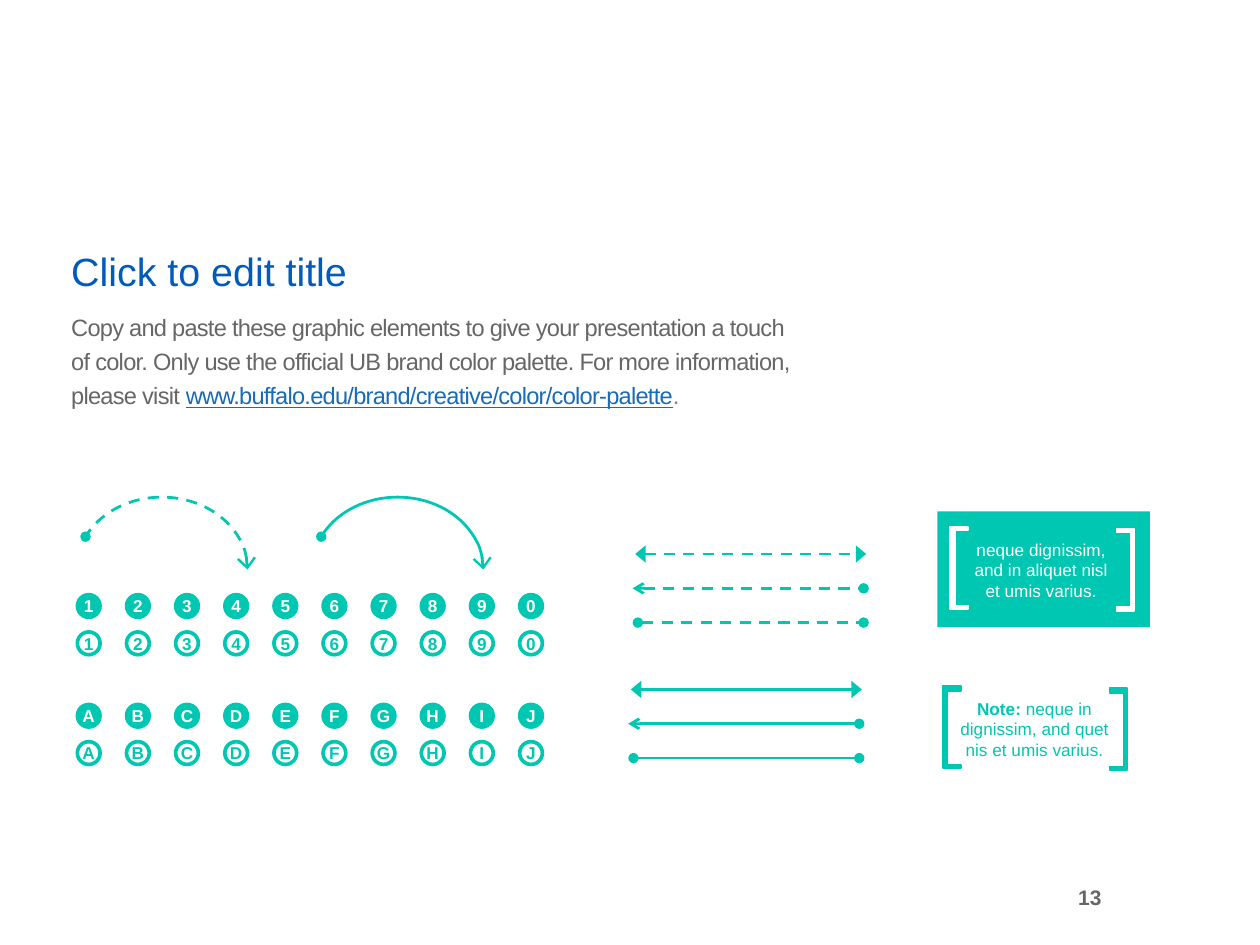
from pptx import Presentation
from pptx.dml.color import RGBColor
from pptx.enum.dml import MSO_LINE
from pptx.enum.shapes import MSO_CONNECTOR, MSO_SHAPE
from pptx.enum.text import MSO_ANCHOR, MSO_AUTO_SIZE, PP_ALIGN
from pptx.oxml.ns import qn
from pptx.util import Pt
from lxml import etree

TEAL, WHITE, BLUE, GRAY = "00C7B1", "FFFFFF", "005BBB", "666666"
LINK_BLUE, LIGHT_GRAY = "186BB7", "828383"
CENTER, RIGHT = PP_ALIGN.CENTER, PP_ALIGN.RIGHT
MIDDLE, BOTTOM = MSO_ANCHOR.MIDDLE, MSO_ANCHOR.BOTTOM
DASH, STRAIGHT = MSO_LINE.DASH, MSO_CONNECTOR.STRAIGHT
OVAL, ARC, RECT = MSO_SHAPE.OVAL, MSO_SHAPE.ARC, MSO_SHAPE.RECTANGLE
NO_AUTOFIT = MSO_AUTO_SIZE.NONE


def rgb(color):
    """Turn a hex string into a colour."""
    return RGBColor.from_string(color)


def place(sp, x, y, w, h):
    """Move and size a shape, in points."""
    sp.left, sp.top, sp.width, sp.height = Pt(x), Pt(y), Pt(w), Pt(h)


def add_run(p, text, size, color, bold=False):
    """Add one formatted run to a paragraph."""
    r = p.add_run()
    r.text = text
    r.font.name, r.font.size, r.font.bold = "Arial", Pt(size), bold
    r.font.color.rgb = rgb(color)
    return r


def style_shape(sp, fill=None, line=None, width=1):
    """Set the fill and line of a shape and drop its shadow."""
    sp.shadow.inherit = False
    if fill:
        sp.fill.solid()
        sp.fill.fore_color.rgb = rgb(fill)
    else:
        sp.fill.background()
    if line:
        sp.line.color.rgb = rgb(line)
        sp.line.width = Pt(width)
    else:
        sp.line.fill.background()


def style_ends(sp, head, tail, dashed, head_width="med"):
    """Set the dash and the end marks of a line or arc."""
    if dashed:
        sp.line.dash_style = DASH
    ln = sp.line._get_or_add_ln()
    for tag, kind in (("a:headEnd", head), ("a:tailEnd", tail)):
        end = etree.SubElement(ln, qn(tag))
        end.set("type", kind)
        end.set("w", "med" if kind == "oval" else head_width)


def add_text(s, x, y, w, h, align):
    """Add a wrapping text box and return its frame and first paragraph."""
    tf = s.shapes.add_textbox(Pt(x), Pt(y), Pt(w), Pt(h)).text_frame
    tf.word_wrap = True
    p = tf.paragraphs[0]
    p.alignment = align
    return tf, p


def fill_title(s, x, y, w, h):
    """Place the slide title."""
    sp = s.shapes.title
    place(sp, x, y, w, h)
    tf = sp.text_frame
    tf.auto_size, tf.vertical_anchor = NO_AUTOFIT, BOTTOM
    p = tf.paragraphs[0]
    p.alignment, p.line_spacing = PP_ALIGN.LEFT, 0.9
    add_run(p, "Click to edit title", 22.5, BLUE)


def fill_body(s, x, y, w, h):
    """Place the introduction below the title."""
    sp = s.placeholders[1]
    place(sp, x, y, w, h)
    tf = sp.text_frame
    tf.auto_size = NO_AUTOFIT
    p = tf.paragraphs[0]
    pPr = p._p.get_or_add_pPr()
    pPr.set("marL", "0")
    pPr.set("indent", "0")
    etree.SubElement(pPr, qn("a:buNone"))
    p.line_spacing, p.space_before = Pt(19.5), Pt(0)
    intro = ("Copy and paste these graphic elements to give your presentation a touch "
             "of color. Only use the official UB brand color palette. "
             "For more information, please visit ")
    address = "www.buffalo.edu/brand/creative/color/color-palette"
    for text, color in ((intro, GRAY), (address, LINK_BLUE), (".", LIGHT_GRAY)):
        r = add_run(p, text, 13.5, color)
        r.font.underline = text == address
        r._r.get_or_add_rPr().set("spc", "-40")


def add_arc(s, x, y, w, h, dashed):
    """Add a curved arrow that rises from a dot and lands on the right."""
    sp = s.shapes.add_shape(ARC, Pt(x), Pt(y), Pt(w), Pt(h))
    sp.adjustments[0], sp.adjustments[1] = 162, 40.02
    sp.rotation = 270
    sp._element.spPr.find(qn("a:xfrm")).set("flipV", "1")
    style_shape(sp, line=TEAL, width=1.6)
    style_ends(sp, "arrow", "oval", dashed, "lg")


def add_badges(s, x, y, labels, solid):
    """Add a row of round badges, one for each character."""
    size, pitch = 13, 28.08
    for i, label in enumerate(labels):
        sp = s.shapes.add_shape(OVAL, Pt(x + i * pitch), Pt(y), Pt(size), Pt(size))
        style_shape(sp, TEAL if solid else None, TEAL, 2 if solid else 2.09)
        tf = sp.text_frame
        tf.margin_left = tf.margin_right = tf.margin_top = tf.margin_bottom = 0
        tf.word_wrap, tf.vertical_anchor = False, MIDDLE
        p = tf.paragraphs[0]
        p.alignment = CENTER
        add_run(p, label, 9.8, WHITE if solid else TEAL, True)


def add_lines(s, x, y, dashed):
    """Add three lines with different end marks, one below the other."""
    rows = ((2, 134, "triangle", "triangle", "lg"),
            (0.5, 132.5, "arrow", "oval", "med"),
            (3.5, 132.5, "oval", "oval", "med"))
    for i, (start, end, head, tail, head_width) in enumerate(rows):
        row_y = Pt(y + i * 19.6)
        sp = s.shapes.add_connector(STRAIGHT, Pt(x + start), row_y, Pt(x + end), row_y)
        sp.line.color.rgb = rgb(TEAL)
        sp.line.width = Pt(1.6)
        style_ends(sp, head, tail, dashed, head_width)
        etree.SubElement(sp._element.spPr, qn("a:effectLst"))


def add_brackets(s, x, y, w, color):
    """Add a pair of square brackets that spans the given width."""
    arm, height, thick = 10, 47, 2.2
    outline = ((arm, 0), (0, 0), (0, height), (arm, height), (arm, height - thick),
               (thick, height - thick), (thick, thick), (arm, thick))
    for edge, side, top in ((x, 1, y), (x + w, -1, y + 1)):
        points = [(edge + side * dx, top + dy) for dx, dy in outline]
        fb = s.shapes.build_freeform(*points[0], scale=Pt(1))
        fb.add_line_segments(points[1:], close=True)
        style_shape(fb.convert_to_shape(), color, color)


def add_panel_note(s, x, y, w, h):
    """Add the filled panel with white brackets and text."""
    style_shape(s.shapes.add_shape(RECT, Pt(x), Pt(y), Pt(w), Pt(h)), TEAL)
    add_brackets(s, x + 7.6, y + 8.6, 105, WHITE)
    p = add_text(s, x + 10.7, y + 12.2, 97, 42.5, CENTER)[1]
    add_run(p, "neque dignissim, and in aliquet nisl", 9.8, WHITE)
    p.add_line_break()
    etree.SubElement(p._p.find(qn("a:br")), qn("a:rPr")).set("sz", "980")
    add_run(p, "et umis varius.", 9.8, WHITE)


def add_plain_note(s, x, y, w, h):
    """Add the bracketed note on the slide background."""
    add_brackets(s, x, y, w, TEAL)
    p = add_text(s, x, y + 2.9, w, h, CENTER)[1]
    add_run(p, "Note: ", 9.8, TEAL, True)
    add_run(p, "neque in dignissim, and quet nis et umis varius.", 9.8, TEAL)


def add_page_number(s, x, y, w, h):
    """Add the page number."""
    tf, p = add_text(s, x, y, w, h, RIGHT)
    tf.vertical_anchor = MIDDLE
    add_run(p, "13", 12, GRAY, True)


def main():
    """Build the slide of graphic elements."""
    prs = Presentation()
    prs.slide_width, prs.slide_height = Pt(720), Pt(540)
    s = prs.slides.add_slide(prs.slide_layouts[1])
    fill_title(s, 33.5, 103.7, 267.8, 68.4)
    fill_body(s, 33.5, 172, 429.8, 73.4)
    for x, dashed in ((51.1, True), (185.8, False)):
        add_arc(s, x, 276.5, 82.8, 97.9, dashed)
    for y, labels in ((339.8, "1234567890"), (402.5, "ABCDEFGHIJ")):
        add_badges(s, 44.2, y, labels, True)
        add_badges(s, 44.2, y + 21.3, labels, False)
    add_lines(s, 361, 316.6, True)
    add_lines(s, 358.5, 394, False)
    add_panel_note(s, 535.7, 292.2, 121.5, 66.2)
    add_plain_note(s, 538.6, 392.4, 105.1, 42.5)
    add_page_number(s, 594, 491.8, 42.5, 41.8)
    prs.save("out.pptx")


if __name__ == "__main__":
    main()
